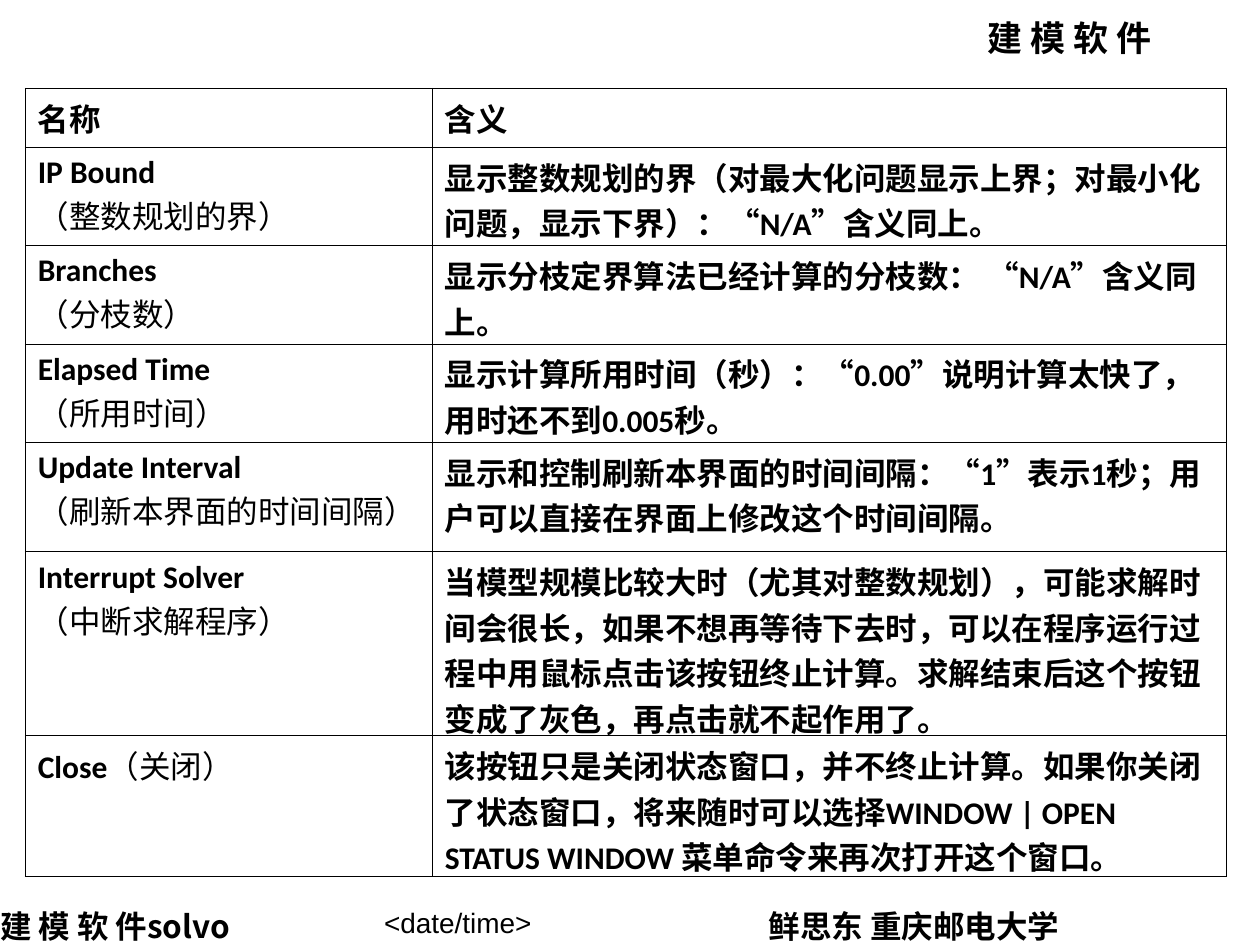
import pptx
import pptx.util
import pptx.dml.color
import pptx.enum.text
import pptx.oxml
import pptx.oxml.ns

Inches, Pt = pptx.util.Inches, pptx.util.Pt
ANCHOR = pptx.enum.text.MSO_ANCHOR
COLORS = {"ink": "000000", "paper": "FFFFFF"}
SC, JP = "Noto Sans CJK SC", "Noto Sans CJK JP"

HEADING = "建 模 软 件"
FOOTERS = [
    ("建 模 软 件solvo", (0, 7.2, 2.25, 0.3), JP),
    ("鲜思东 重庆邮电大学", (6.1, 7.2, 2.87, 0.3), SC),
]
DATE = "<date/time>"
COLUMN_WIDTHS = [3.23, 6.3]
ROW_HEIGHTS = [0.47, 0.78, 0.78, 0.78, 0.87, 1.46, 1.12]
HEADERS = ("名称", "含义")
ENTRIES = [
    ("IP Bound", "（整数规划的界）",
     "显示整数规划的界（对最大化问题显示上界；对最小化问题，显示下界）：“N/A”含义同上。"),
    ("Branches", "（分枝数）",
     "显示分枝定界算法已经计算的分枝数： “N/A”含义同上。"),
    ("Elapsed Time", "（所用时间）",
     "显示计算所用时间（秒）：“0.00”说明计算太快了，用时还不到0.005秒。"),
    ("Update Interval", "（刷新本界面的时间间隔）",
     "显示和控制刷新本界面的时间间隔：“1”表示1秒；用户可以直接在界面上修改这个时间间隔。"),
    ("Interrupt Solver", "（中断求解程序）",
     "当模型规模比较大时（尤其对整数规划），可能求解时间会很长，如果不想再等待下去时，"
     "可以在程序运行过程中用鼠标点击该按钮终止计算。求解结束后这个按钮变成了灰色，再点击就不起作用了。"),
    ("Close", "（关闭）",
     "该按钮只是关闭状态窗口，并不终止计算。如果你关闭了状态窗口，将来随时可以选择"
     "WINDOW | OPEN STATUS WINDOW 菜单命令来再次打开这个窗口。"),
]
SAME_LINE = {"Close"}


def rgb(name):
    return pptx.dml.color.RGBColor.from_string(COLORS[name])


def style(font, size, latin, east_asian=SC, bold=None):
    font.size, font.name, font.bold = Pt(size), latin, bold
    font.color.rgb = rgb("ink")
    typeface = pptx.oxml.parse_xml(
        f'<a:ea {pptx.oxml.ns.nsdecls("a")} typeface="{east_asian}"/>')
    font._element.find(pptx.oxml.ns.qn("a:latin")).addnext(typeface)


def place(part, box):
    part.left, part.top, part.width, part.height = map(Inches, box)


def write_label(part, text, size, face):
    frame = part.text_frame
    frame.margin_left = frame.margin_right = frame.margin_top = frame.margin_bottom = 0
    frame.word_wrap = False
    frame.auto_size = pptx.enum.text.MSO_AUTO_SIZE.NONE
    frame.vertical_anchor = ANCHOR.MIDDLE
    frame.text = text
    line = frame.paragraphs[0]
    line.alignment = pptx.enum.text.PP_ALIGN.LEFT
    style(line.font, size, face, face, True)


def outline(cell):
    properties = cell._tc.get_or_add_tcPr()
    for position, side in enumerate(("lnL", "lnR", "lnT", "lnB")):
        properties.insert(position, pptx.oxml.parse_xml(
            f'<a:{side} {pptx.oxml.ns.nsdecls("a")} w="5715"><a:solidFill>'
            f'<a:srgbClr val="{COLORS["ink"]}"/></a:solidFill></a:{side}>'))


def write_cell(cell, lines):
    cell.fill.background()
    outline(cell)
    frame = cell.text_frame
    for number, runs in enumerate(lines):
        line = frame.paragraphs[0] if number == 0 else frame.add_paragraph()
        for text, bold in runs:
            run = line.add_run()
            run.text = text
            style(run.font, 18, "Calibri", bold=bold)


presentation = pptx.Presentation()
presentation.slide_width, presentation.slide_height = Inches(10), Inches(7.5)
slide = presentation.slides.add_slide(presentation.slide_layouts[5])

heading = slide.shapes.title
place(heading, (7.84, 0.13, 1.75, 0.33))
heading.fill.solid()
heading.fill.fore_color.rgb = rgb("paper")
write_label(heading, HEADING, 20, SC)

for text, box, face in FOOTERS:
    write_label(slide.shapes.add_textbox(*map(Inches, box)), text, 18, face)

date = slide.shapes.add_textbox(*map(Inches, (2.95, 6.98, 2.52, 0.52)))
date.text_frame.word_wrap = True
date.text_frame.vertical_anchor = ANCHOR.BOTTOM
date.text_frame.text = DATE
style(date.text_frame.paragraphs[0].font, 16, "Arial")

glossary = slide.shapes.add_table(
    len(ROW_HEIGHTS), len(COLUMN_WIDTHS), Inches(0.2), Inches(0.7),
    Inches(sum(COLUMN_WIDTHS)), Inches(sum(ROW_HEIGHTS))).table
glossary.first_row = glossary.horz_banding = False
for column, width in zip(glossary.columns, COLUMN_WIDTHS):
    column.width = Inches(width)
for row, height in zip(glossary.rows, ROW_HEIGHTS):
    row.height = Inches(height)

for column, header in enumerate(HEADERS):
    write_cell(glossary.cell(0, column), [[(header, True)]])
for row, (term, gloss, meaning) in enumerate(ENTRIES, 1):
    named, glossed = (term, True), (gloss, False)
    lines = [[named, glossed]] if term in SAME_LINE else [[named], [glossed]]
    write_cell(glossary.cell(row, 0), lines)
    write_cell(glossary.cell(row, 1), [[(meaning, True)]])

presentation.save("out.pptx")
